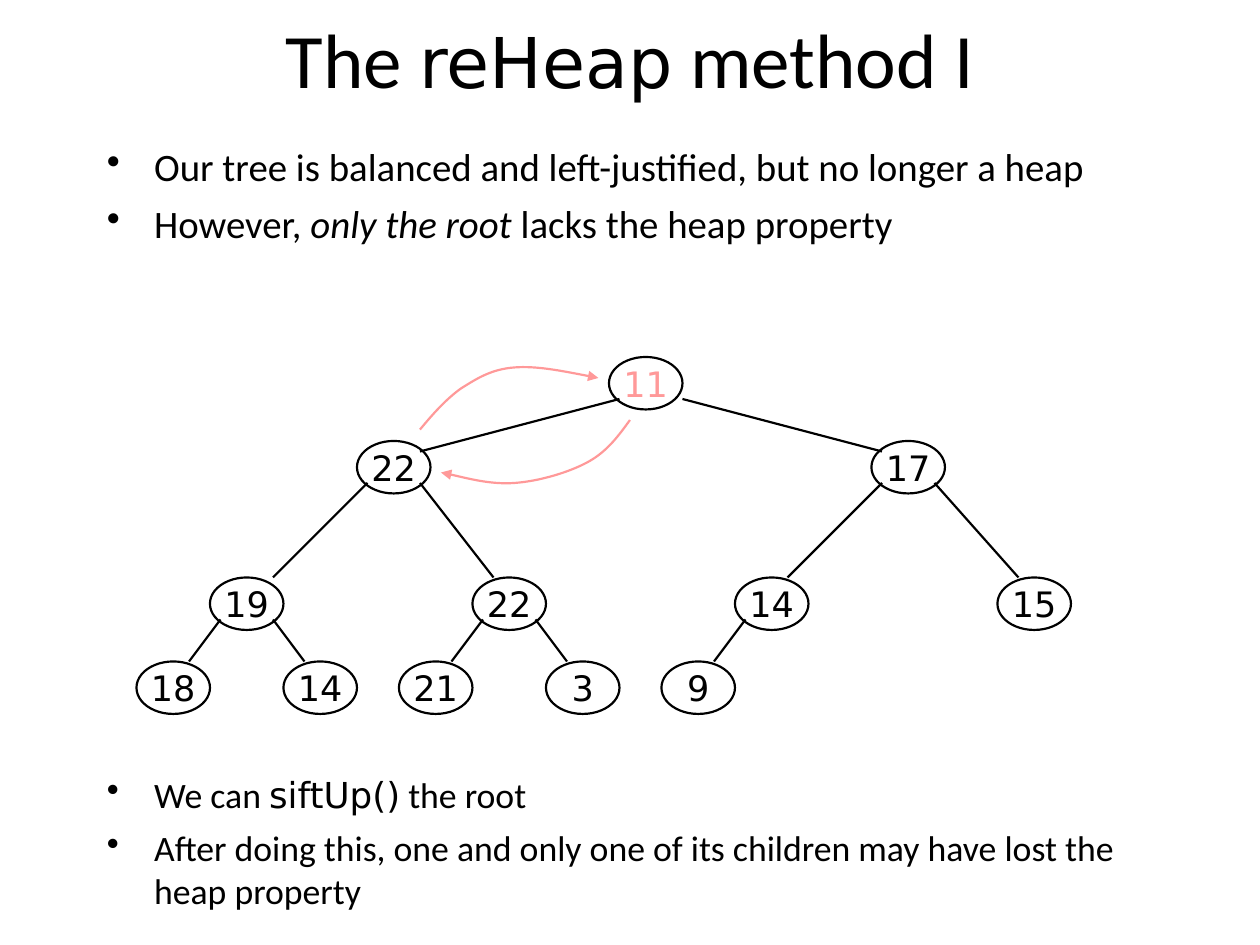
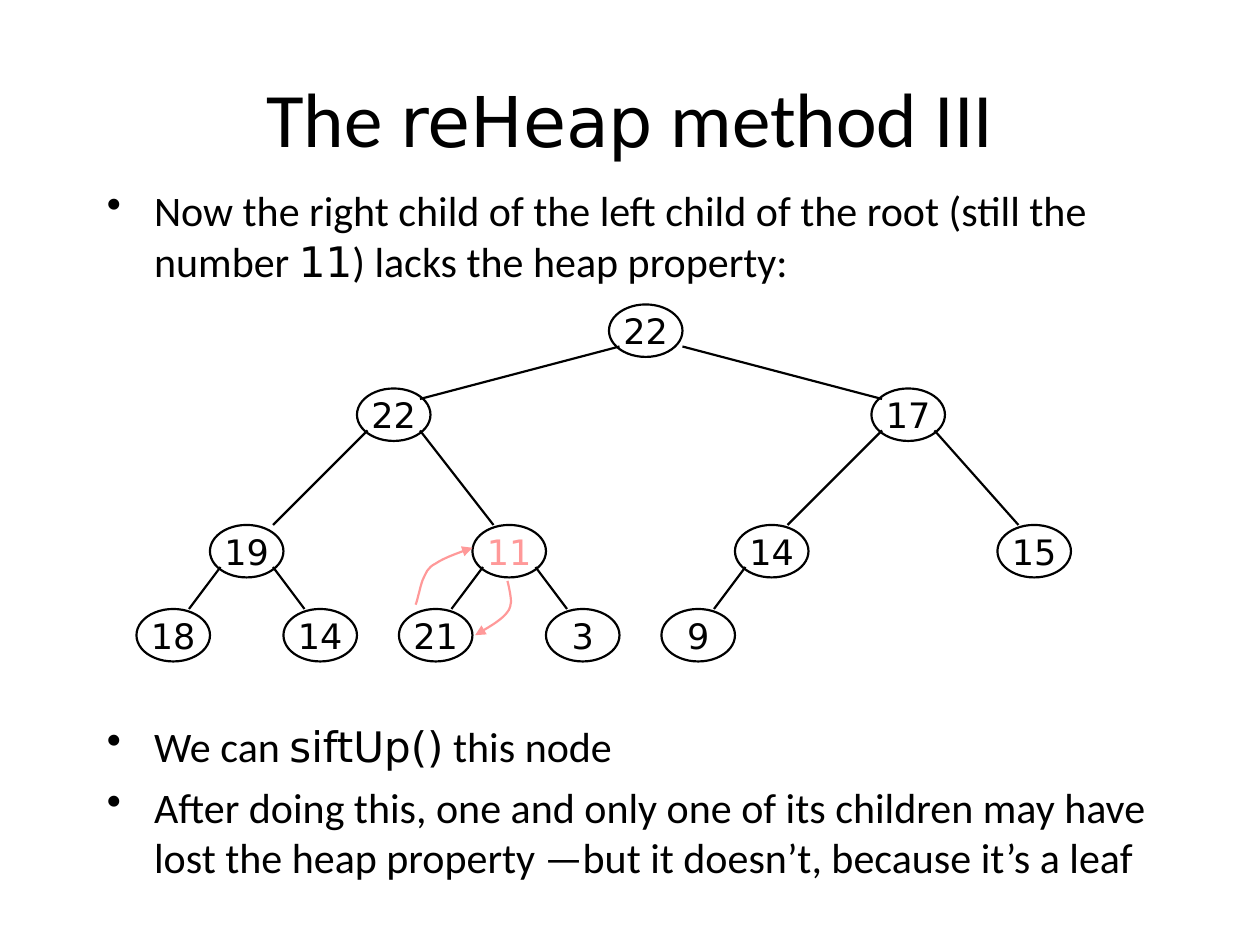
"""Build two slides that show heap trees being repaired by the reHeap method."""
from dataclasses import dataclass

from lxml.etree import SubElement
from pptx import Presentation
from pptx.dml.color import RGBColor
from pptx.enum.shapes import MSO_CONNECTOR, MSO_SHAPE
from pptx.enum.text import MSO_ANCHOR, PP_ALIGN
from pptx.oxml.ns import qn
from pptx.util import Pt

SLIDES = [
    {
        "title": (0, [("The ", "title"), ("reHeap", "title code"), (" method I", "title")]),
        "texts": [
            (78, 78, 22.2, [
                [("Our tree is balanced and left-justified, but no longer a heap", "plain")],
                [("However, ", "plain"), ("only the root", "italic"),
                 (" lacks the heap property", "plain")],
            ]),
            (438, 90, 20.4, [
                [("We can ", "plain"), ("siftUp()", "code"), (" the root", "plain")],
                [("After doing this, one and only one of its children may have lost the "
                  "heap property", "plain")],
            ]),
        ],
        "heap_top": 204,
        "heap": [11, 22, 17, 19, 22, 14, 15, 18, 14, 21, 3, 9],
        "sifted": 0,
        "swaps": [
            [(240, 245.5), (247, 237), (255, 228), (263.5, 222), (273, 216),
             (281, 211), (294, 210), (306.5, 209), (324, 212.5), (342, 216)],
            [(360, 240), (353.5, 249), (347, 258), (336, 264), (325, 270),
             (308, 275), (294, 276), (280, 277), (258, 271), (252, 270)],
        ],
    },
    {
        "title": (33.6, [("The ", "title"), ("reHeap", "title code"), (" method III", "title")]),
        "texts": [
            (102, 78, 24, [
                [("Now the right child of the left child of the root (still the number ", "plain"),
                 ("11", "code"), (") lacks the heap property:", "plain")],
            ]),
            (408, 114, 24, [
                [("We can ", "plain"), ("siftUp()", "code"), (" this node", "plain")],
                [("After doing this, one and only one of its children may have lost the "
                  "heap property —but it doesn’t, because it’s a leaf", "plain")],
            ]),
        ],
        "heap_top": 174,
        "heap": [22, 22, 17, 19, 11, 14, 15, 18, 14, 21, 3, 9],
        "sifted": 4,
        "swaps": [
            [(237.5, 345.5), (238.5, 343.5), (240, 335.5), (241.5, 331.5), (243.5, 327.5),
             (244, 324.5), (249, 322), (253.5, 319), (265.5, 314.5), (270, 313)],
            [(290, 332), (290.5, 334), (292, 340.5), (292, 344), (291.5, 348),
             (291, 349), (287.5, 352.5), (283.5, 356), (275, 361), (271.5, 363)],
        ],
    },
]

NODE_LEFTS = [348, 204, 498, 120, 270, 420, 570, 78, 162, 228, 312, 378]
LEVEL_DROPS = [0, 48, 126, 174]
NODE_WIDTH, NODE_HEIGHT = 42, 30
EDGE_STARTS = {2: 42}
EDGE_ENDS = {1: (36, 6), 2: (6, 6), 3: (36, 0)}


@dataclass(frozen=True)
class Theme:
    ink: RGBColor = RGBColor(0, 0, 0)
    accent: RGBColor = RGBColor(0xFF, 0x99, 0x99)
    body_font: str = "Calibri"
    code_font: str = "DejaVu Sans"
    title_size: float = 44
    title_code_size: float = 40
    node_size: float = 20
    line_width: float = 1.25
    bullet_indent: float = 27
    bullet_gap: float = 6


THEME = Theme()


def format_span(span, size, font=THEME.body_font, color=THEME.ink):
    span.font.size = Pt(size)
    span.font.name = font
    span.font.color.rgb = color


def add_spans(para, spans, size):
    for text, style in spans:
        span = para.add_run()
        span.text = text
        is_code = style.endswith("code")
        span_size = {"title": THEME.title_size, "title code": THEME.title_code_size}.get(style, size)
        format_span(span, span_size, THEME.code_font if is_code else THEME.body_font)
        if style == "italic":
            span.font.italic = True


def add_text_box(page, left, top, width, height):
    box = page.shapes.add_textbox(Pt(left), Pt(top), Pt(width), Pt(height))
    box.text_frame.word_wrap = True
    return box.text_frame


def add_title(page, top, spans):
    frame = add_text_box(page, 36, top, 648, 66)
    frame.vertical_anchor = MSO_ANCHOR.MIDDLE
    para = frame.paragraphs[0]
    para.alignment = PP_ALIGN.CENTER
    add_spans(para, spans, THEME.title_size)


def add_bullet(para):
    properties = para._p.get_or_add_pPr()
    properties.set("marL", str(Pt(THEME.bullet_indent)))
    properties.set("indent", str(-Pt(THEME.bullet_indent)))
    color = SubElement(properties, qn("a:buClr"))
    SubElement(color, qn("a:srgbClr"), val=str(THEME.ink))
    SubElement(properties, qn("a:buChar"), char="•")


def add_bullets(page, top, height, size, items):
    frame = add_text_box(page, 54, top, 612, height)
    for index, spans in enumerate(items):
        para = frame.add_paragraph() if index else frame.paragraphs[0]
        add_bullet(para)
        if index:
            para.space_before = Pt(THEME.bullet_gap)
        add_spans(para, spans, size)


def style_line(shape, color):
    shape.line.color.rgb = color
    shape.line.width = Pt(THEME.line_width)


def node_corner(index, heap_top):
    level = (index + 1).bit_length() - 1
    return NODE_LEFTS[index], heap_top + LEVEL_DROPS[level]


def add_edge(page, child, heap_top):
    is_left = child % 2 == 1
    parent_left, parent_top = node_corner((child - 1) // 2, heap_top)
    child_left, child_top = node_corner(child, heap_top)
    start = EDGE_STARTS.get(child, 6 if is_left else 36)
    end_x, end_y = EDGE_ENDS.get(child, (30 if is_left else 12, 0))
    edge = page.shapes.add_connector(
        MSO_CONNECTOR.STRAIGHT, Pt(parent_left + start), Pt(parent_top + 24),
        Pt(child_left + end_x), Pt(child_top + end_y))
    style_line(edge, THEME.ink)
    SubElement(edge._element.spPr, qn("a:effectLst"))


def add_node(page, index, value, heap_top, color):
    left, top = node_corner(index, heap_top)
    node = page.shapes.add_shape(
        MSO_SHAPE.OVAL, Pt(left), Pt(top), Pt(NODE_WIDTH), Pt(NODE_HEIGHT))
    node.shadow.inherit = False
    node.fill.background()
    style_line(node, THEME.ink)
    frame = node.text_frame
    frame.text = str(value)
    frame.word_wrap = False
    frame.vertical_anchor = MSO_ANCHOR.MIDDLE
    para = frame.paragraphs[0]
    para.alignment = PP_ALIGN.CENTER
    format_span(para.runs[0], THEME.node_size, THEME.code_font, color)


def add_swap_arrow(page, points):
    start, *rest = [(Pt(x), Pt(y)) for x, y in points]
    builder = page.shapes.build_freeform(*start)
    builder.add_line_segments(rest, close=False)
    arrow = builder.convert_to_shape()
    outline = arrow._element.spPr.find(".//" + qn("a:path"))
    segments = outline.findall(qn("a:lnTo"))
    for first in range(0, len(segments), 3):
        curve = SubElement(outline, qn("a:cubicBezTo"))
        for segment in segments[first:first + 3]:
            curve.append(segment[0])
            outline.remove(segment)
    arrow.shadow.inherit = False
    arrow.fill.background()
    style_line(arrow, THEME.accent)
    SubElement(arrow.line._get_or_add_ln(), qn("a:tailEnd"), type="triangle")


def add_heap(page, content):
    heap_top = content["heap_top"]
    for child in range(1, len(content["heap"])):
        add_edge(page, child, heap_top)
    for index, value in enumerate(content["heap"]):
        color = THEME.accent if index == content["sifted"] else THEME.ink
        add_node(page, index, value, heap_top, color)
    for points in content["swaps"]:
        add_swap_arrow(page, points)


def main():
    deck = Presentation()
    deck.slide_width, deck.slide_height = Pt(720), Pt(540)
    for content in SLIDES:
        page = deck.slides.add_slide(deck.slide_layouts[6])
        add_title(page, *content["title"])
        for text in content["texts"]:
            add_bullets(page, *text)
        add_heap(page, content)
    deck.save("out.pptx")


if __name__ == "__main__":
    main()
